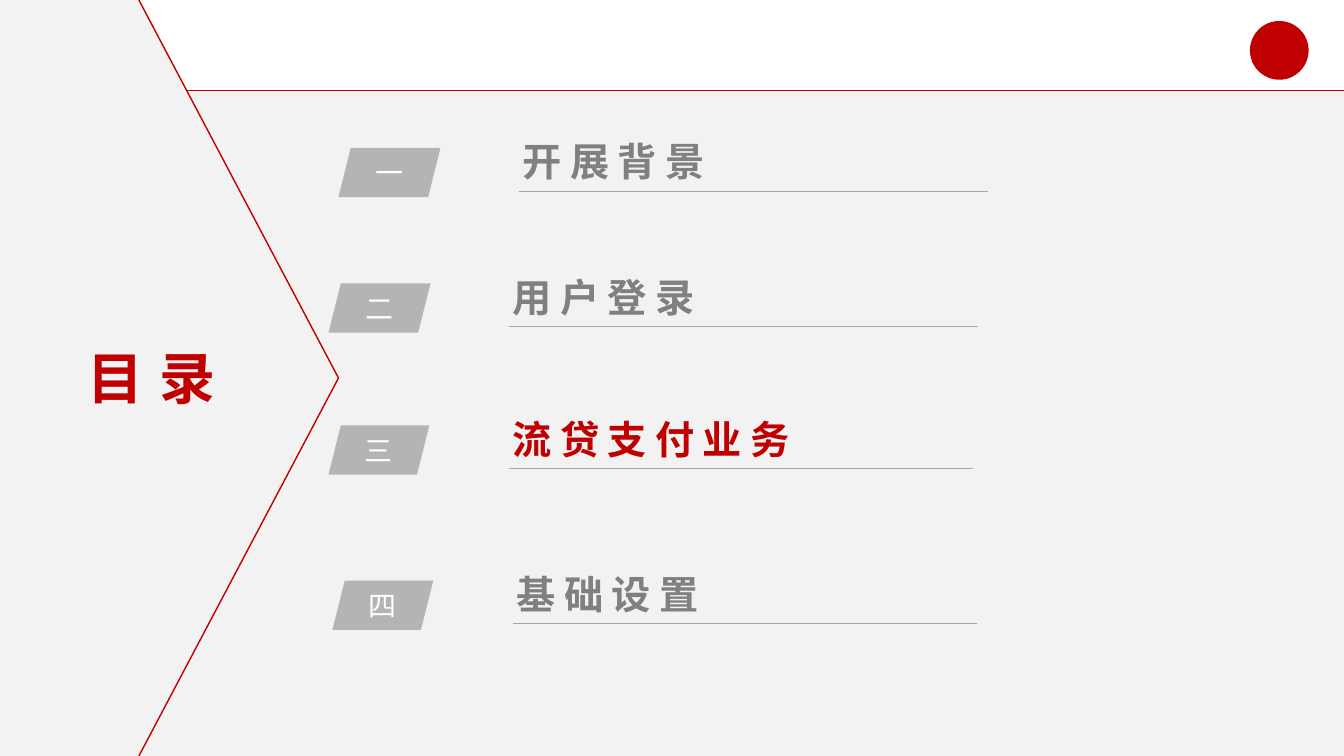
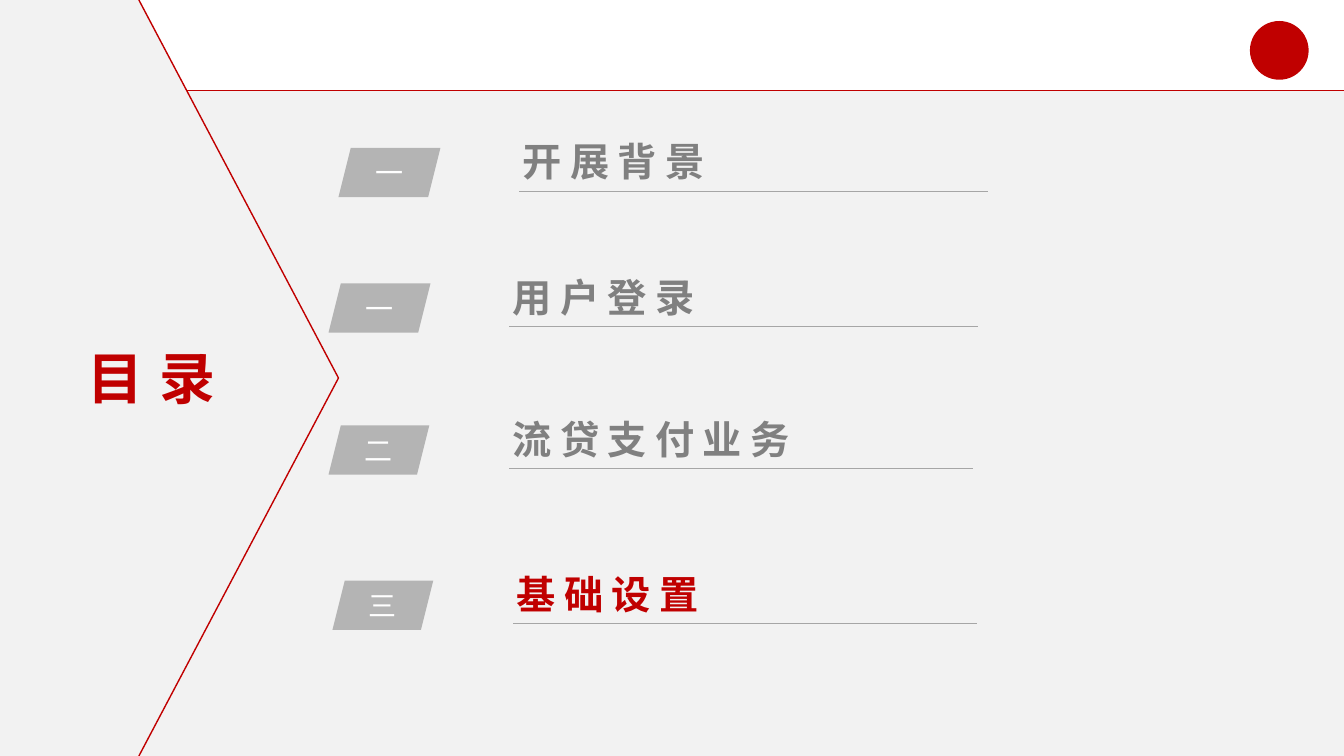
from lxml import etree
from pptx import Presentation
from pptx.dml.color import RGBColor
from pptx.enum.shapes import MSO_CONNECTOR, MSO_SHAPE
from pptx.enum.text import MSO_ANCHOR, PP_ALIGN
from pptx.oxml.ns import qn
from pptx.util import Cm, Pt

RED = RGBColor(0xC0, 0x00, 0x00)
PALE = RGBColor(0xF2, 0xF2, 0xF2)
TAG_GREY = RGBColor(0xB4, 0xB4, 0xB4)
RULE_GREY = RGBColor(0xA6, 0xA6, 0xA6)
TEXT_GREY = RGBColor(0x80, 0x80, 0x80)
WHITE = RGBColor(0xFF, 0xFF, 0xFF)
FONT = "Arial"

SLIDE_W, SLIDE_H = Cm(33.87), Cm(19.05)
HEADER_H = Cm(2.29)

# Chapter title with the left, top and width of its number tag
CHAPTERS = [
    ("开展背景", Cm(8.53), Cm(3.73), Cm(2.57)),
    ("用户登录", Cm(8.28), Cm(7.14), Cm(2.57)),
    ("流贷支付业务", Cm(8.28), Cm(10.72), Cm(2.54)),
    ("基础设置", Cm(8.38), Cm(14.63), Cm(2.54)),
]
# Numbers on the tags and the chapter in focus, for each slide
AGENDAS = [("一二三四", "流贷支付业务"), ("一一二三", "基础设置")]


def add_filled(slide, preset, left, top, width, height, color):
    shape = slide.shapes.add_shape(preset, left, top, width, height)
    shape.shadow.inherit = False
    shape.fill.solid()
    shape.fill.fore_color.rgb = color
    shape.line.fill.background()
    return shape


def add_rule(slide, x1, y1, x2, y2, color, weight):
    rule = slide.shapes.add_connector(MSO_CONNECTOR.STRAIGHT, x1, y1, x2, y2)
    rule.line.color.rgb = color
    rule.line.width = Pt(weight)
    etree.SubElement(rule.element.spPr, qn("a:effectLst"))


def add_run(paragraph, text, size, color, bold=False, spacing=0):
    """Add a run; spacing is the extra space between letters in points."""
    run = paragraph.add_run()
    run.text = text
    font = run.font
    font.name, font.size, font.bold = FONT, Pt(size), bold
    font.color.rgb = color
    properties = run._r.get_or_add_rPr()
    etree.SubElement(properties, qn("a:ea"), typeface=FONT)
    if spacing:
        properties.set("spc", str(spacing * 100))


def draw_header(slide):
    add_filled(slide, MSO_SHAPE.RECTANGLE, 0, HEADER_H, SLIDE_W, SLIDE_H - HEADER_H, PALE)
    add_rule(slide, 0, HEADER_H, SLIDE_W, HEADER_H, RED, 0.75)
    add_filled(slide, MSO_SHAPE.OVAL, Cm(31.5), Cm(0.53), Cm(1.48), Cm(1.48), RED)


def draw_side_panel(slide, edge, tip):
    """Draw a panel as high as the slide whose right side points at tip."""
    add_filled(slide, MSO_SHAPE.RECTANGLE, 0, 0, edge, SLIDE_H, PALE)
    depth, middle = tip - edge, SLIDE_H // 2
    pointer = add_filled(slide, MSO_SHAPE.ISOSCELES_TRIANGLE,
                         (edge + tip - SLIDE_H) // 2, middle - depth // 2,
                         SLIDE_H, depth, PALE)
    pointer.rotation = 90
    for corner in (0, SLIDE_H):
        add_rule(slide, edge, corner, tip, middle, RED, 1)

    heading = slide.shapes.add_textbox(Cm(1.93), Cm(8.53), Cm(3.78), Cm(1.96))
    heading.text_frame.word_wrap = False
    paragraph = heading.text_frame.paragraphs[0]
    paragraph.alignment = PP_ALIGN.CENTER
    add_run(paragraph, "目 录", 40, RED, bold=True)


def draw_chapter(slide, left, top, width, number, title, color):
    tag = add_filled(slide, MSO_SHAPE.PARALLELOGRAM, left, top, width, Cm(1.24), TAG_GREY)
    frame = tag.text_frame
    frame.margin_left = frame.margin_right = frame.margin_top = frame.margin_bottom = 0
    frame.vertical_anchor = MSO_ANCHOR.MIDDLE
    frame.paragraphs[0].alignment = PP_ALIGN.CENTER
    add_run(frame.paragraphs[0], number, 20, WHITE)

    caption = slide.shapes.add_textbox(left + Cm(4.39), top - Cm(0.25), Cm(16.9), Cm(1.32))
    caption.text_frame.word_wrap = True
    paragraph = caption.text_frame.paragraphs[0]
    paragraph.line_spacing = 0.9
    add_run(paragraph, title, 28, color, bold=True, spacing=6)

    start, baseline = left + Cm(4.55), top + Cm(1.09)
    add_rule(slide, start, baseline, start + int(width * 4.6), baseline, RULE_GREY, 0.5)


def draw_agenda(slide, numbers, focus):
    draw_header(slide)
    draw_side_panel(slide, edge=Cm(3.5), tip=Cm(8.53))
    for number, (title, left, top, width) in zip(numbers, CHAPTERS):
        color = RED if title == focus else TEXT_GREY
        draw_chapter(slide, left, top, width, number, title, color)


def main():
    deck = Presentation()
    deck.slide_width, deck.slide_height = SLIDE_W, SLIDE_H
    for numbers, focus in AGENDAS:
        draw_agenda(deck.slides.add_slide(deck.slide_layouts[6]), numbers, focus)
    deck.save("out.pptx")


if __name__ == "__main__":
    main()
